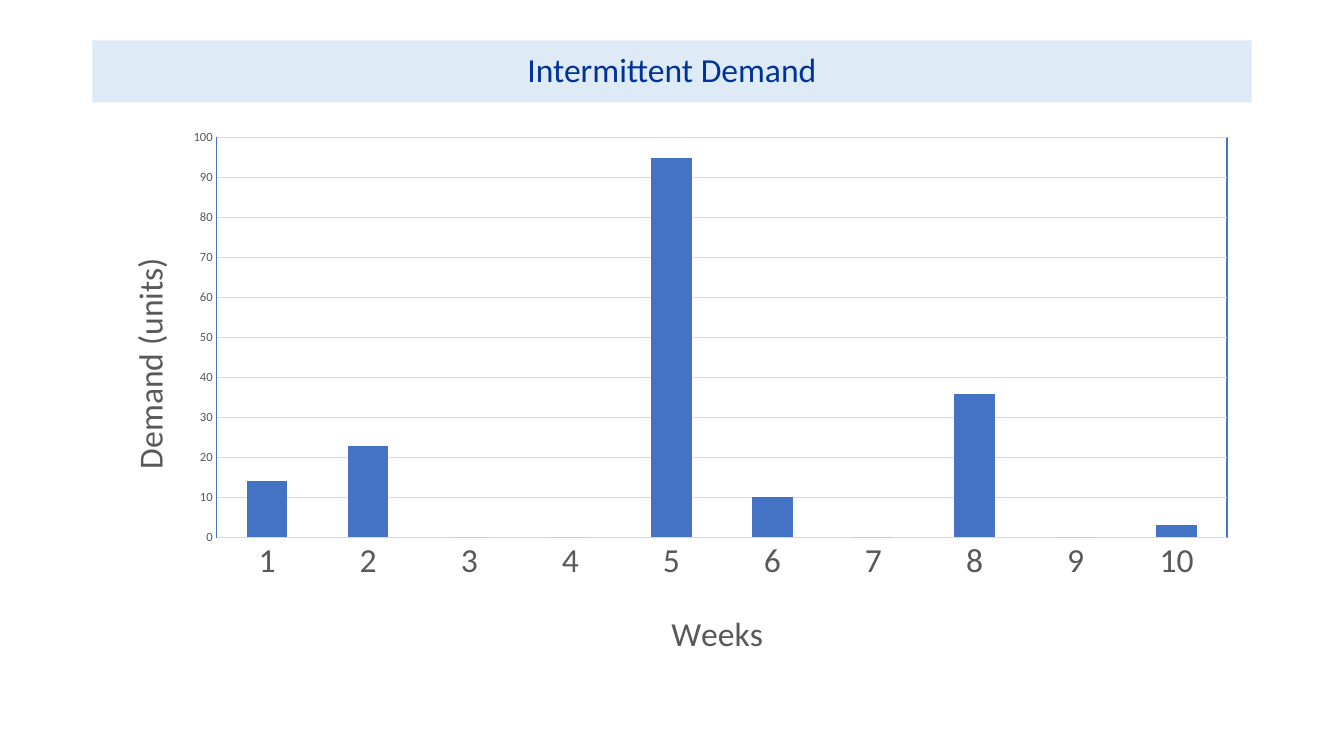
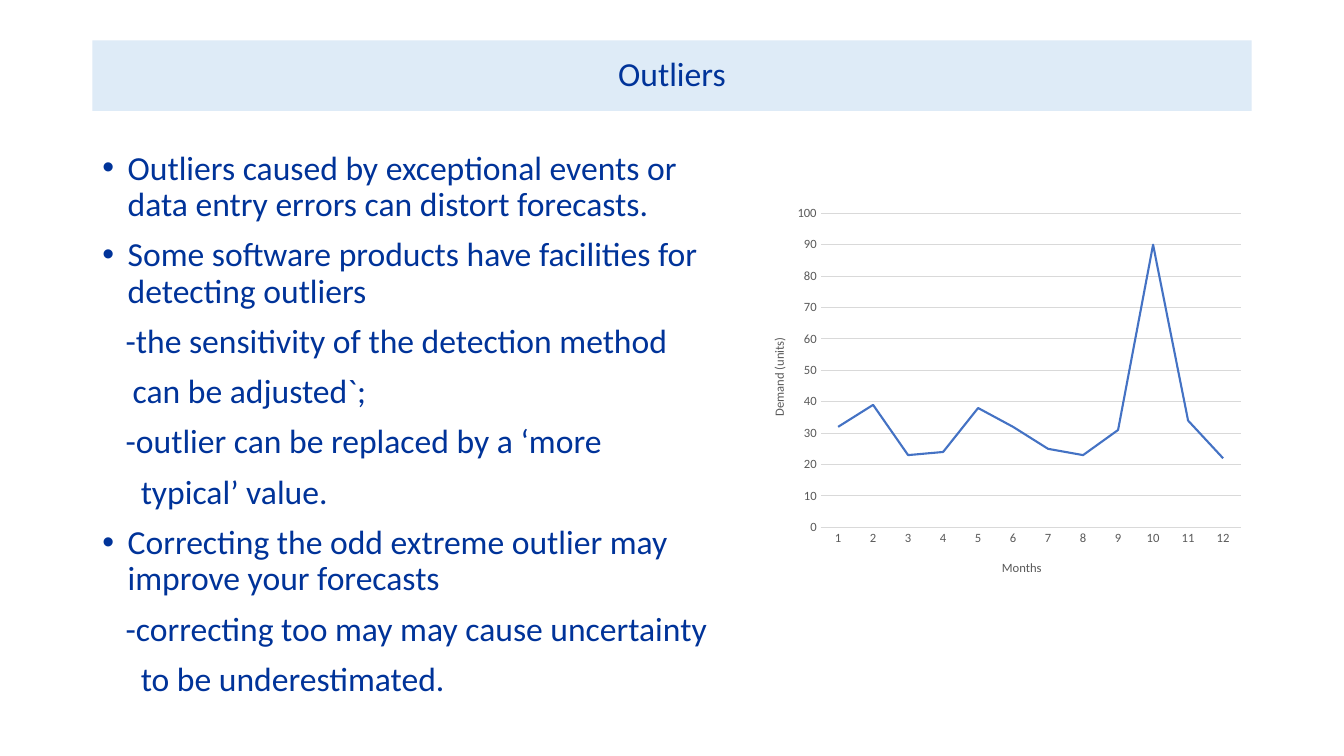
"""Build two slides on intermittent demand and outliers in forecasting."""
from dataclasses import dataclass
from typing import Optional

from lxml.etree import SubElement
from pptx import Presentation
from pptx.chart.axis import AxisTitle
from pptx.chart.chart import Chart
from pptx.chart.data import CategoryChartData
from pptx.dml.color import RGBColor
from pptx.enum.chart import XL_CHART_TYPE, XL_MARKER_STYLE, XL_TICK_MARK
from pptx.enum.text import MSO_ANCHOR, MSO_AUTO_SIZE, PP_ALIGN
from pptx.oxml import parse_xml
from pptx.oxml.ns import nsdecls, qn
from pptx.oxml.xmlchemy import BaseOxmlElement
from pptx.shapes.base import BaseShape
from pptx.slide import Slide
from pptx.text.text import Font, _Paragraph
from pptx.util import Inches, Pt

NAVY = RGBColor(0x00, 0x33, 0x99)
PALE_BLUE = RGBColor(0xDE, 0xEB, 0xF7)
BLUE = RGBColor(0x44, 0x72, 0xC4)
GREY = RGBColor(0x59, 0x59, 0x59)
LIGHT_GREY = RGBColor(0xD9, 0xD9, 0xD9)
FONT_NAME = "Calibri"
TEXT_SIZE = 24
COLUMNS, ROWS = 160, 90
CELL = Inches(1) / 12
MARGIN = 11
TITLE_TOP = 4.8
TITLE_ONLY_LAYOUT, CONTENT_LAYOUT = 5, 1


@dataclass(frozen=True)
class Box:
    """A place on the grid, in columns and rows."""

    column: float
    row: float
    columns: float = 0
    rows: float = 0

    def lengths(self) -> tuple[int, int, int, int]:
        """Return left, top, width and height in slide units."""
        return tuple(round(cells * CELL) for cells in (self.column, self.row, self.columns, self.rows))


@dataclass(frozen=True)
class Line:
    """One paragraph of the body, with a bullet or a left indent."""

    text: str
    indent: float = 0.25
    bullet: bool = False


@dataclass(frozen=True)
class DemandChart:
    """A demand series with its chart kind, places and text sizes."""

    kind: XL_CHART_TYPE
    box: Box
    plot: Box
    period: str
    period_place: Box
    demand_place: Box
    values: tuple[int, ...]
    title_size: int
    category_size: int
    line_width: float


@dataclass(frozen=True)
class Page:
    """One slide: a title band, a chart and optional body lines."""

    title: str
    title_rows: float
    chart: DemandChart
    lines: tuple[Line, ...] = ()


PAGES = (
    Page(
        "Intermittent Demand", 7.4,
        DemandChart(
            XL_CHART_TYPE.COLUMN_STACKED, Box(MARGIN, 14.3, 138, 65.8), Box(25.8, 16.4, 120.3, 47.6),
            "Weeks", Box(79.2, 72), Box(14.4, 30),
            (14, 23, 0, 0, 95, 10, 0, 36, 0, 3), 24, 24, 0.75,
        ),
    ),
    Page(
        "Outliers", 8.4,
        DemandChart(
            XL_CHART_TYPE.LINE_STACKED, Box(89, 23.5, 60, 47), Box(97.7, 25.4, 50, 37.4),
            "Months", Box(119, 66.3), Box(91.5, 39.9),
            (32, 39, 23, 24, 38, 32, 25, 23, 31, 90, 34, 22), 9, 9, 1,
        ),
        (
            Line("Outliers caused by exceptional events or data entry errors can distort forecasts.", bullet=True),
            Line("Some software products have facilities for detecting outliers", bullet=True),
            Line("-the sensitivity of the detection method", 0.23),
            Line("can be adjusted`;", 0.3),
            Line("-outlier can be replaced by a ‘more", 0.23),
            Line("typical’ value.", 0.38),
            Line("Correcting the odd extreme outlier may improve your forecasts", bullet=True),
            Line("-correcting too may may cause uncertainty", 0.23),
            Line("to be underestimated.", 0.38),
        ),
    ),
)


def move(shape: BaseShape, box: Box) -> None:
    """Put a shape at its place on the grid."""
    shape.left, shape.top, shape.width, shape.height = box.lengths()


def style_font(font: Font, size: float, color: RGBColor) -> None:
    """Give a font the deck's typeface with a size and colour."""
    font.name, font.size, font.bold = FONT_NAME, Pt(size), False
    font.color.rgb = color


def write(para: _Paragraph, text: str) -> None:
    """Fill a slide paragraph in the deck's text style."""
    para.text = text
    para.line_spacing = 0.9
    for span in para.runs:
        style_font(span.font, TEXT_SIZE, NAVY)


def draw_title(slide: Slide, page: Page) -> None:
    """Turn the title placeholder into the pale blue band."""
    title = slide.shapes.title
    move(title, Box(MARGIN, TITLE_TOP, COLUMNS - 2 * MARGIN, page.title_rows))
    title.fill.solid()
    title.fill.fore_color.rgb = PALE_BLUE
    title.text_frame.vertical_anchor = MSO_ANCHOR.MIDDLE
    title.text_frame.auto_size = MSO_AUTO_SIZE.NONE
    para = title.text_frame.paragraphs[0]
    write(para, page.title)
    para.alignment = PP_ALIGN.CENTER


def draw_body(slide: Slide, lines: tuple[Line, ...]) -> None:
    """Fill the body placeholder with bulleted and indented lines."""
    body = slide.placeholders[1]
    move(body, Box(MARGIN, 17.4, 78, 67.8))
    frame = body.text_frame
    frame.auto_size = MSO_AUTO_SIZE.NONE
    for index, line in enumerate(lines):
        para = frame.add_paragraph() if index else frame.paragraphs[0]
        write(para, line.text)
        para.space_before = Pt(10)
        properties = para._p.get_or_add_pPr()
        properties.set("marL", str(Inches(line.indent)))
        properties.set("indent", str(-Inches(line.indent) if line.bullet else 0))
        if line.bullet:
            SubElement(properties, qn("a:buFont")).set("typeface", "Arial")
            SubElement(properties, qn("a:buChar")).set("char", "•")
        else:
            SubElement(properties, qn("a:buNone"))


def set_layout(element: BaseOxmlElement, index: int, frame: Box, part: Box, inner: bool = False) -> None:
    """Fix a chart part's place as shares of the chart frame."""
    for old in element.findall(qn("c:layout")):
        element.remove(old)
    settings = [("layoutTarget", "inner")] if inner else []
    settings += [("xMode", "edge"), ("yMode", "edge")]
    settings += [
        ("x", (part.column - frame.column) / frame.columns),
        ("y", (part.row - frame.row) / frame.rows),
    ]
    if inner:
        settings += [("w", part.columns / frame.columns), ("h", part.rows / frame.rows)]
    layout = parse_xml(f"<c:layout {nsdecls('c')}><c:manualLayout/></c:layout>")
    for name, value in settings:
        SubElement(layout[0], qn(f"c:{name}")).set("val", str(value))
    element.insert(index, layout)


def write_axis_title(title: AxisTitle, text: str, size: int, frame: Box, place: Box,
                     rotation: Optional[int] = None) -> None:
    """Write an axis title, turn it if asked, and fix its place."""
    title.text_frame.text = text
    style_font(title.text_frame.paragraphs[0].runs[0].font, size, GREY)
    if rotation is not None:
        properties = title.element.find(f".//{qn('a:bodyPr')}")
        properties.set("rot", str(rotation * 60000))
        properties.set("vert", "horz")
    set_layout(title.element, 1, frame, place)


def style_axes(chart: Chart, design: DemandChart) -> None:
    """Format both axes, their titles and the gridlines."""
    categories, demand = chart.category_axis, chart.value_axis
    for axis, size in ((categories, design.category_size), (demand, 9)):
        axis.major_tick_mark = axis.minor_tick_mark = XL_TICK_MARK.NONE
        style_font(axis.tick_labels.font, size, GREY)
    categories.has_major_gridlines = False
    categories.format.line.color.rgb = LIGHT_GREY
    categories.format.line.width = Pt(design.line_width)
    demand.minimum_scale, demand.maximum_scale, demand.major_unit = 0, 100, 10
    demand.format.line.fill.background()
    demand.has_major_gridlines = True
    demand.major_gridlines.format.line.color.rgb = LIGHT_GREY
    demand.major_gridlines.format.line.width = Pt(0.75)
    write_axis_title(categories.axis_title, design.period, design.title_size, design.box, design.period_place)
    write_axis_title(demand.axis_title, "Demand (units)", design.title_size, design.box, design.demand_place, -90)


def draw_chart(slide: Slide, design: DemandChart) -> None:
    """Draw a demand chart as columns in a frame or as a line."""
    chart_data = CategoryChartData()
    chart_data.categories = [str(number) for number in range(1, len(design.values) + 1)]
    chart_data.add_series("Series 1", design.values)
    chart = slide.shapes.add_chart(design.kind, *design.box.lengths(), chart_data).chart
    chart.has_title = chart.has_legend = False
    chart.font.name, chart.font.size = FONT_NAME, Pt(10)
    style_axes(chart, design)
    plot = chart.plots[0]
    plot.vary_by_categories = False
    series = plot.series[0]
    plot_area = chart.element.find(f".//{qn('c:plotArea')}")
    set_layout(plot_area, 0, design.box, design.plot, inner=True)
    if design.kind == XL_CHART_TYPE.COLUMN_STACKED:
        plot.gap_width, plot.overlap = 150, 100
        series.format.fill.solid()
        series.format.fill.fore_color.rgb = BLUE
        plot_area.append(parse_xml(
            f'<c:spPr {nsdecls("c", "a")}><a:noFill/><a:ln w="{Pt(1)}"><a:solidFill>'
            f'<a:srgbClr val="{BLUE}"/></a:solidFill></a:ln></c:spPr>'
        ))
    else:
        series.smooth = False
        series.marker.style = XL_MARKER_STYLE.NONE
        series.format.line.color.rgb = BLUE
        series.format.line.width = Pt(1.5)


def main() -> None:
    """Build and save the deck."""
    deck = Presentation()
    deck.slide_width, deck.slide_height = round(COLUMNS * CELL), round(ROWS * CELL)
    for page in PAGES:
        layout = deck.slide_layouts[CONTENT_LAYOUT if page.lines else TITLE_ONLY_LAYOUT]
        slide = deck.slides.add_slide(layout)
        draw_title(slide, page)
        if page.lines:
            draw_body(slide, page.lines)
        draw_chart(slide, page.chart)
    deck.save("out.pptx")


if __name__ == "__main__":
    main()
